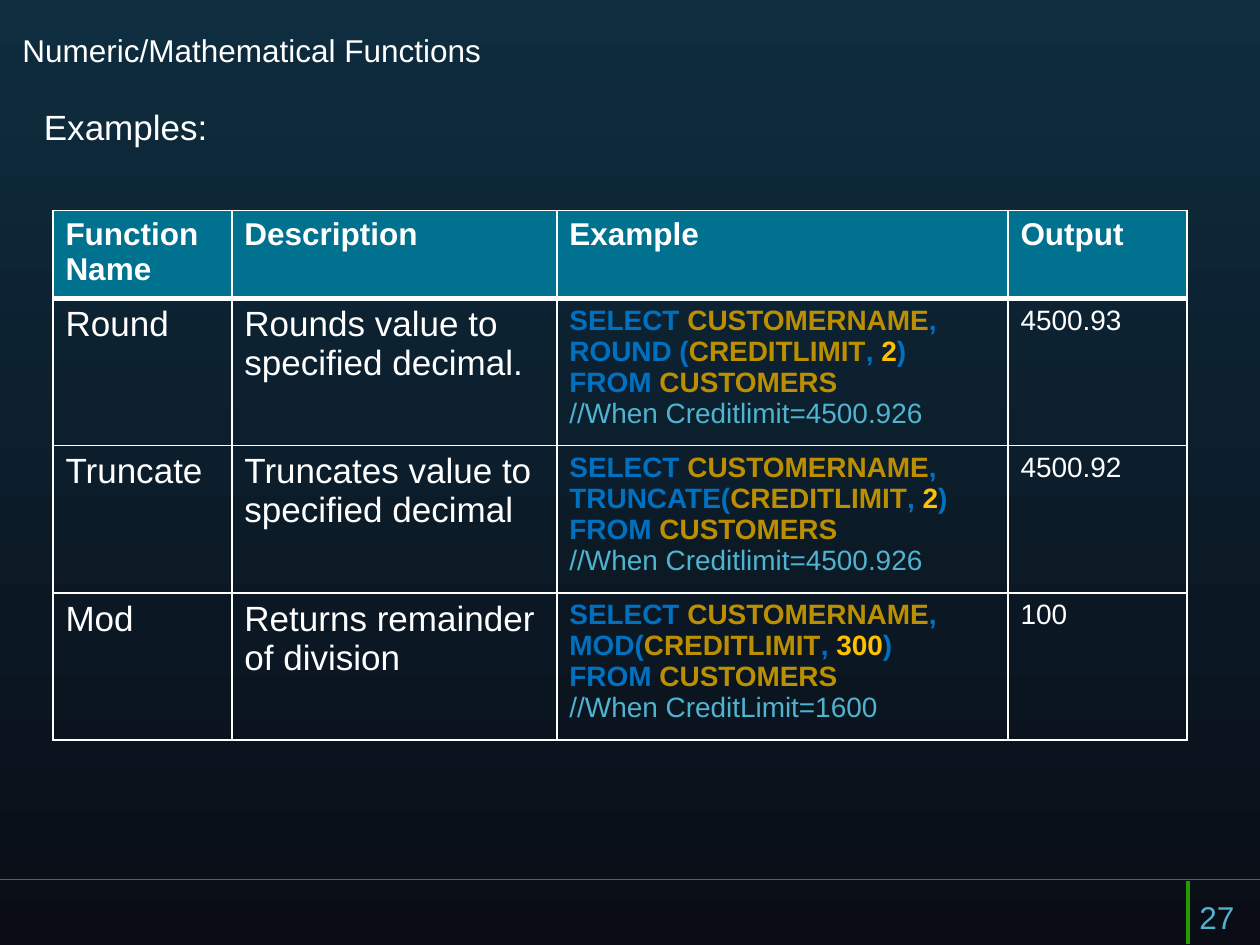
from dataclasses import dataclass

from lxml.etree import SubElement
from pptx import Presentation
from pptx.dml.color import RGBColor as RGB
from pptx.enum.shapes import MSO_CONNECTOR as Connector
from pptx.oxml.ns import qn
from pptx.util import Inches, Pt


@dataclass(frozen=True)
class Theme:
    font: str = "Arial"
    back_top: str = "0E2D3F"
    back_bottom: str = "0A0D16"
    text: str = "FFFFFF"
    accent: str = "50B3CF"
    header: str = "00728F"
    rule: str = "287094"
    marker: str = "209D03"
    keyword: str = "0070C0"
    name: str = "BC8F00"
    value: str = "FFC000"
    large: int = 20
    medium: int = 18
    small: int = 16


THEME = Theme()
COLUMNS = (1.42, 2.58, 3.58, 1.42)
ROWS = (0.66, 1.09, 1.17, 1.09)
HEADINGS = ("Function Name", "Description", "Example", "Output")
# name, description, opening of the call, argument, comment, output
FUNCTIONS = (
    ("Round", "Rounds value to specified decimal.",
     ",\nROUND (", "2", "//When Creditlimit=4500.926", "4500.93"),
    ("Truncate", "Truncates value to specified decimal",
     ", TRUNCATE(", "2", "//When Creditlimit=4500.926", "4500.92"),
    ("Mod", "Returns remainder of division",
     ",\nMOD(", "300", "//When CreditLimit=1600", "100"),
)


def paint_background(s):
    fill = s.background.fill
    fill.gradient()
    fill.gradient_angle = 270
    for stop, color in zip(fill.gradient_stops, (THEME.back_top, THEME.back_bottom)):
        stop.color.rgb = RGB.from_string(color)


def style_paragraph(p, size, color=THEME.text, bold=False):
    font = p.font
    font.name, font.size, font.bold = THEME.font, Pt(size), bold
    font.color.rgb = RGB.from_string(color)


def add_text(s, text, box, size, color=THEME.text):
    tf = s.shapes.add_textbox(*map(Inches, box)).text_frame
    tf.word_wrap = True
    p = tf.paragraphs[0]
    p.text = text
    style_paragraph(p, size, color)
    return p


def add_line(s, start, end, color, width):
    line = s.shapes.add_connector(Connector.STRAIGHT, *map(Inches, start + end))
    line.line.color.rgb = RGB.from_string(color)
    line.line.width = Pt(width)
    SubElement(line._element.spPr, qn("a:effectLst"))


def set_borders(cell, top=1, bottom=1):
    tc_pr = cell._tc.get_or_add_tcPr()
    for side, width in (("L", 1), ("R", 1), ("T", top), ("B", bottom)):
        ln = SubElement(tc_pr, qn(f"a:ln{side}"), w=str(Pt(width)))
        SubElement(SubElement(ln, qn("a:solidFill")), qn("a:srgbClr"), val=THEME.text)


def fill_cell(cell, text, size, bold=False):
    cell.text = text
    style_paragraph(cell.text_frame.paragraphs[0], size, bold=bold)


def fill_query(cell, opening, argument, comment):
    """Write the coloured SQL statement; a line break in a token starts a paragraph."""
    tokens = (
        ("SELECT ", THEME.keyword), ("CUSTOMERNAME", THEME.name),
        (opening, THEME.keyword), ("CREDITLIMIT", THEME.name),
        (", ", THEME.keyword), (argument, THEME.value),
        (")\nFROM ", THEME.keyword), ("CUSTOMERS", THEME.name),
    )
    tf = cell.text_frame
    p = tf.paragraphs[0]
    style_paragraph(p, THEME.small, bold=True)
    for token, color in tokens:
        for i, part in enumerate(token.split("\n")):
            if i:
                p = tf.add_paragraph()
                style_paragraph(p, THEME.small, bold=True)
            r = p.add_run()
            r.text = part
            r.font.color.rgb = RGB.from_string(color)
    p = tf.add_paragraph()
    p.text = comment
    style_paragraph(p, THEME.small, THEME.accent)


def add_function_table(s, left, top):
    size = (len(ROWS), len(COLUMNS))
    box = (left, top, sum(COLUMNS), sum(ROWS))
    table = s.shapes.add_table(*size, *map(Inches, box)).table
    table.first_row = table.horz_banding = False
    for column, width in zip(table.columns, COLUMNS):
        column.width = Inches(width)
    for i, (row, height) in enumerate(zip(table.rows, ROWS)):
        row.height = Inches(height)
        for cell in row.cells:
            set_borders(cell, top=3 if i == 1 else 1, bottom=3 if i == 0 else 1)
            cell.fill.background()
    for cell, heading in zip(table.rows[0].cells, HEADINGS):
        cell.fill.solid()
        cell.fill.fore_color.rgb = RGB.from_string(THEME.header)
        fill_cell(cell, heading, THEME.medium, bold=True)
    for i, (name, description, *query, output) in enumerate(FUNCTIONS, 1):
        fill_cell(table.cell(i, 0), name, THEME.large)
        fill_cell(table.cell(i, 1), description, THEME.large)
        fill_query(table.cell(i, 2), *query)
        fill_cell(table.cell(i, 3), output, THEME.small)


def main():
    prs = Presentation()
    prs.slide_width, prs.slide_height = Inches(10), Inches(7.5)
    s = prs.slides.add_slide(prs.slide_layouts[6])
    paint_background(s)
    add_line(s, (10, 6.98), (0, 6.98), THEME.rule, 0.75)
    add_line(s, (9.43, 6.99), (9.43, 7.49), THEME.marker, 2)
    add_text(s, "Numeric/Mathematical Functions", (0.08, 0.2, 7.5, 0.58), THEME.medium)
    examples = add_text(s, "Examples:", (0.25, 0.79, 9, 0.54), THEME.large)
    examples.space_before = Pt(4)
    add_text(s, "27", (9.42, 7.08, 0.58, 0.42), THEME.medium, THEME.accent)
    add_function_table(s, 0.42, 1.67)
    prs.save("out.pptx")


if __name__ == "__main__":
    main()
